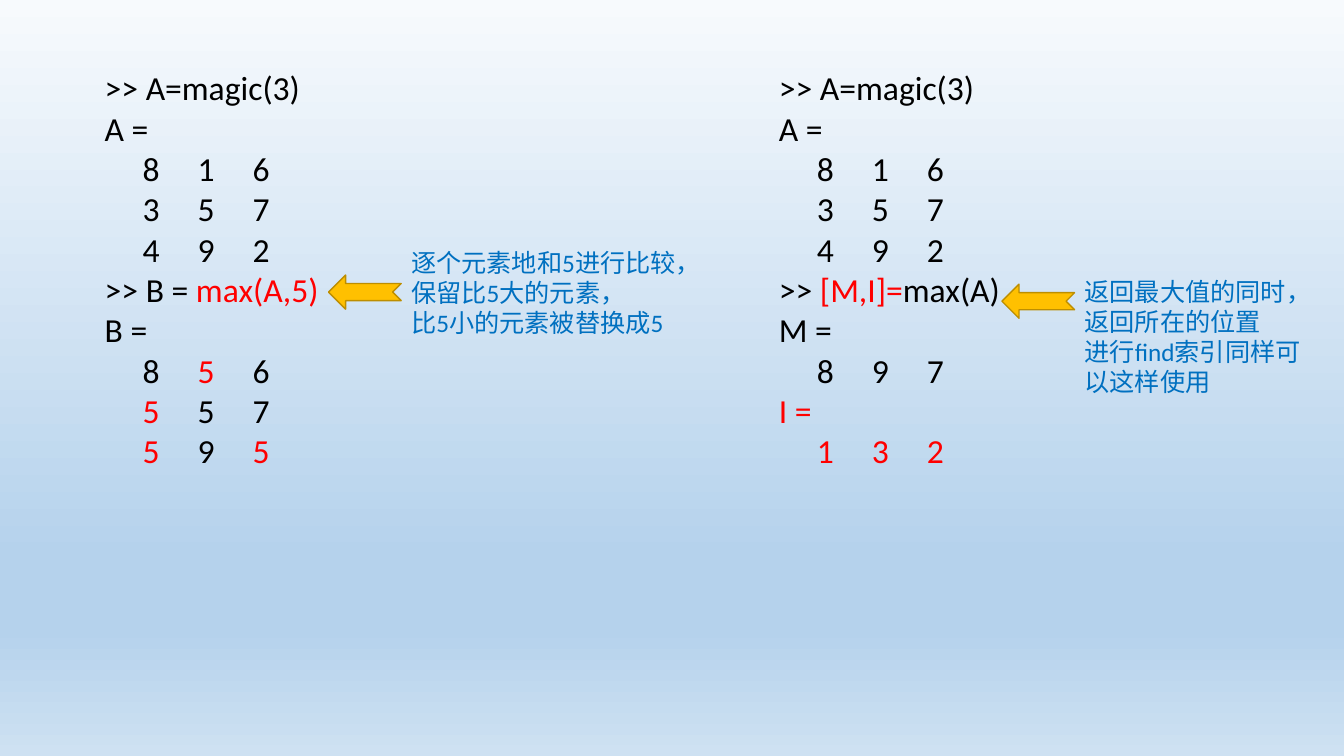
from copy import deepcopy
from dataclasses import dataclass

from pptx import Presentation
from pptx.dml.color import RGBColor
from pptx.enum.shapes import MSO_SHAPE
from pptx.enum.text import MSO_AUTO_SIZE
from pptx.util import Cm, Pt


@dataclass(frozen=True)
class Theme:
    font: str = "Calibri"
    code_size: int = 24
    note_size: int = 18
    code: str = "000000"
    accent: str = "FF0000"
    note: str = "0070C0"
    arrow: str = "FFC000"
    arrow_line: str = "BD8E00"
    background: tuple = ((0, "F7FAFD"), (0.74, "B5D2EC"), (0.83, "B5D2EC"), (1, "CEE1F2"))


ARROW_W, ARROW_H = 1.83, 0.86
CODE_TOP, CODE_H = 1.57, 10.52


def row(*cells):
    """Lay out one line of console matrix output."""
    return "".join(" " * 5 + str(c) for c in cells)


class SlideBuilder:
    def __init__(self, slide, theme):
        self.slide, self.theme = slide, theme

    def background(self):
        fill = self.slide.background.fill
        fill.gradient()
        fill.gradient_angle = 270
        gs_list = self.slide.element.xpath(".//a:gsLst")[0]
        for _ in self.theme.background[2:]:
            gs_list.append(deepcopy(gs_list[0]))
        for stop, (position, color) in zip(fill.gradient_stops, self.theme.background):
            stop.position = position
            stop.color.rgb = RGBColor.from_string(color)

    def text(self, shapes, box, lines, size, color, wrap=True):
        """Add a text box; parts of a line between bars take the accent colour."""
        tf = shapes.add_textbox(*map(Cm, box)).text_frame
        for name, value in {"word_wrap": wrap,
                            "auto_size": MSO_AUTO_SIZE.SHAPE_TO_FIT_TEXT}.items():
            setattr(tf, name, value)
        for i, line in enumerate(lines):
            p = tf.add_paragraph() if i else tf.paragraphs[0]
            for j, part in enumerate(line.split("|")):
                if not part:
                    continue
                r = p.add_run()
                r.text = part
                for name, value in {"name": self.theme.font, "size": Pt(size)}.items():
                    setattr(r.font, name, value)
                r.font.color.rgb = RGBColor.from_string(self.theme.accent if j % 2 else color)

    def code(self, left, width, lines):
        self.text(self.slide.shapes, (left, CODE_TOP, width, CODE_H), lines,
                  self.theme.code_size, self.theme.code)

    def arrow(self, shapes, left, top):
        sp = shapes.add_shape(MSO_SHAPE.NOTCHED_RIGHT_ARROW,
                              *map(Cm, (left, top, ARROW_W, ARROW_H)))
        sp.rotation = 180
        sp.shadow.inherit = False
        sp.fill.solid()
        sp.fill.fore_color.rgb = RGBColor.from_string(self.theme.arrow)
        sp.line.color.rgb = RGBColor.from_string(self.theme.arrow_line)
        sp.line.width = Pt(1)

    def callout(self, left, arrow_top, note_top, width, height, lines, wrap):
        """Group an arrow with the note at its tail."""
        shapes = self.slide.shapes.add_group_shape().shapes
        self.arrow(shapes, left, arrow_top)
        self.text(shapes, (left + ARROW_W, note_top, width, height), lines,
                  self.theme.note_size, self.theme.note, wrap)


def main():
    prs = Presentation()
    prs.slide_width, prs.slide_height = Cm(33.87), Cm(19.05)
    s = SlideBuilder(prs.slides.add_slide(prs.slide_layouts[6]), Theme())
    s.background()

    magic = [">> A=magic(3)", "A =", row(8, 1, 6), row(3, 5, 7), row(4, 9, 2)]

    s.code(2.39, 7.01, magic + [
        ">> B = |max(A,5)|", "B =",
        row(8, "|5|", 6), row("|5|", 5, 7), row("|5|", 9, "|5|")])
    s.callout(8.28, 6.93, 6.1, 7.9, 2.57,
              ["逐个元素地和5进行比较，", "保留比5大的元素，", "比5小的元素被替换成5"], wrap=False)

    s.code(19.38, 10.74, magic + [
        ">> |[M,I]=|max(A)", "M =", row(8, 9, 7), "|I =|", f"|{row(1, 3, 2)}|"])
    s.callout(25.25, 7.16, 6.83, 6.25, 3.33,
              ["返回最大值的同时，", "返回所在的位置", "进行find索引同样可以这样使用"], wrap=True)

    prs.save("out.pptx")


if __name__ == "__main__":
    main()
